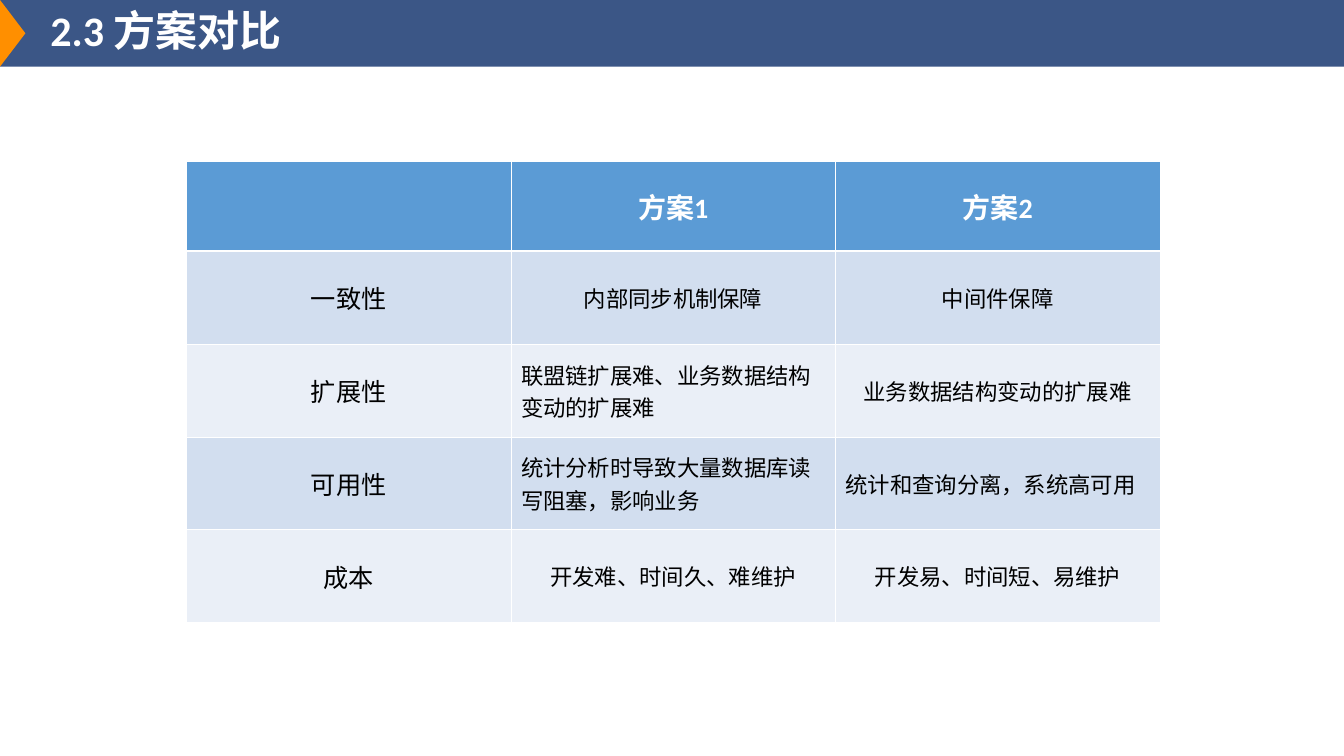
from lxml.etree import SubElement
from pptx import Presentation
from pptx.dml.color import RGBColor
from pptx.enum.shapes import MSO_SHAPE
from pptx.enum.text import MSO_ANCHOR, PP_ALIGN
from pptx.oxml.ns import qn
from pptx.util import Cm, Pt

COLORS = {
    "bar": "3B5686",
    "marker": "FF8F00",
    "header": "5B9BD5",
    "odd_row": "D2DEEF",
    "even_row": "EAEFF7",
    "white": "FFFFFF",
    "black": "000000",
}


def write(frame, text, size, color, bold=False, align=PP_ALIGN.LEFT, spacing=1.0):
    para = frame.paragraphs[0]
    para.alignment = align
    para.line_spacing = spacing
    span = para.add_run()
    span.text = text
    span.font.name = "Calibri"
    span.font.size = Pt(size)
    span.font.bold = bold
    span.font.color.rgb = RGBColor.from_string(COLORS[color])


def add_border(cell, side, width):
    line = SubElement(cell._tc.get_or_add_tcPr(), qn(f"a:{side}"), w=str(Pt(width)))
    fill = SubElement(line, qn("a:solidFill"))
    SubElement(fill, qn("a:srgbClr"), val=COLORS["white"])


deck = Presentation()
deck.slide_width = Cm(33.88)
deck.slide_height = Cm(19.05)
page = deck.slides.add_slide(deck.slide_layouts[6])

bar = page.shapes.add_shape(MSO_SHAPE.RECTANGLE, 0, 0, deck.slide_width, Cm(1.68))
marker = page.shapes.add_shape(
    MSO_SHAPE.ISOSCELES_TRIANGLE, Cm(-0.52), Cm(0.52), Cm(1.68), Cm(0.64)
)
marker.rotation = 90
for shape, color in ((bar, "bar"), (marker, "marker")):
    shape.shadow.inherit = False
    shape.fill.solid()
    shape.fill.fore_color.rgb = RGBColor.from_string(COLORS[color])
    shape.line.fill.background()

title_box = page.shapes.add_textbox(Cm(1.02), 0, Cm(17.63), Cm(1.68))
title_box.text_frame.word_wrap = True
title_box.text_frame.vertical_anchor = MSO_ANCHOR.MIDDLE
write(title_box.text_frame, "2.3 方案对比", 30, "white", bold=True, spacing=0.9)

comparison = [
    ["", "方案1", "方案2"],
    ["一致性", "内部同步机制保障", "中间件保障"],
    ["扩展性", "联盟链扩展难、业务数据结构变动的扩展难", "业务数据结构变动的扩展难"],
    ["可用性", "统计分析时导致大量数据库读写阻塞，影响业务", "统计和查询分离，系统高可用"],
    ["成本", "开发难、时间久、难维护", "开发易、时间短、易维护"],
]
left_aligned = {(2, 1), (3, 1), (3, 2)}

table = page.shapes.add_table(
    5, 3, Cm(4.7), Cm(4.07), Cm(24.54), Cm(11.62)
).table
for column in table.columns:
    column.width = Cm(8.18)
for index, row in enumerate(table.rows):
    row.height = Cm(2.34 if index else 2.26)

for row_index, texts in enumerate(comparison):
    is_header = row_index == 0
    row_color = "header" if is_header else "odd_row" if row_index % 2 else "even_row"
    for column_index, text in enumerate(texts):
        cell = table.cell(row_index, column_index)
        cell.vertical_anchor = MSO_ANCHOR.MIDDLE
        add_border(cell, "lnL", 0.45)
        add_border(cell, "lnR", 0.45)
        add_border(cell, "lnT", 1.47 if row_index == 1 else 0.45)
        add_border(cell, "lnB", 1.47 if is_header else 0.45)
        cell.fill.solid()
        cell.fill.fore_color.rgb = RGBColor.from_string(COLORS[row_color])
        if text:
            is_left = (row_index, column_index) in left_aligned
            write(
                cell.text_frame,
                text,
                size=20 if is_header else 16 if column_index else 18,
                color="white" if is_header else "black",
                bold=is_header,
                align=PP_ALIGN.LEFT if is_left else PP_ALIGN.CENTER,
            )

deck.save("out.pptx")
